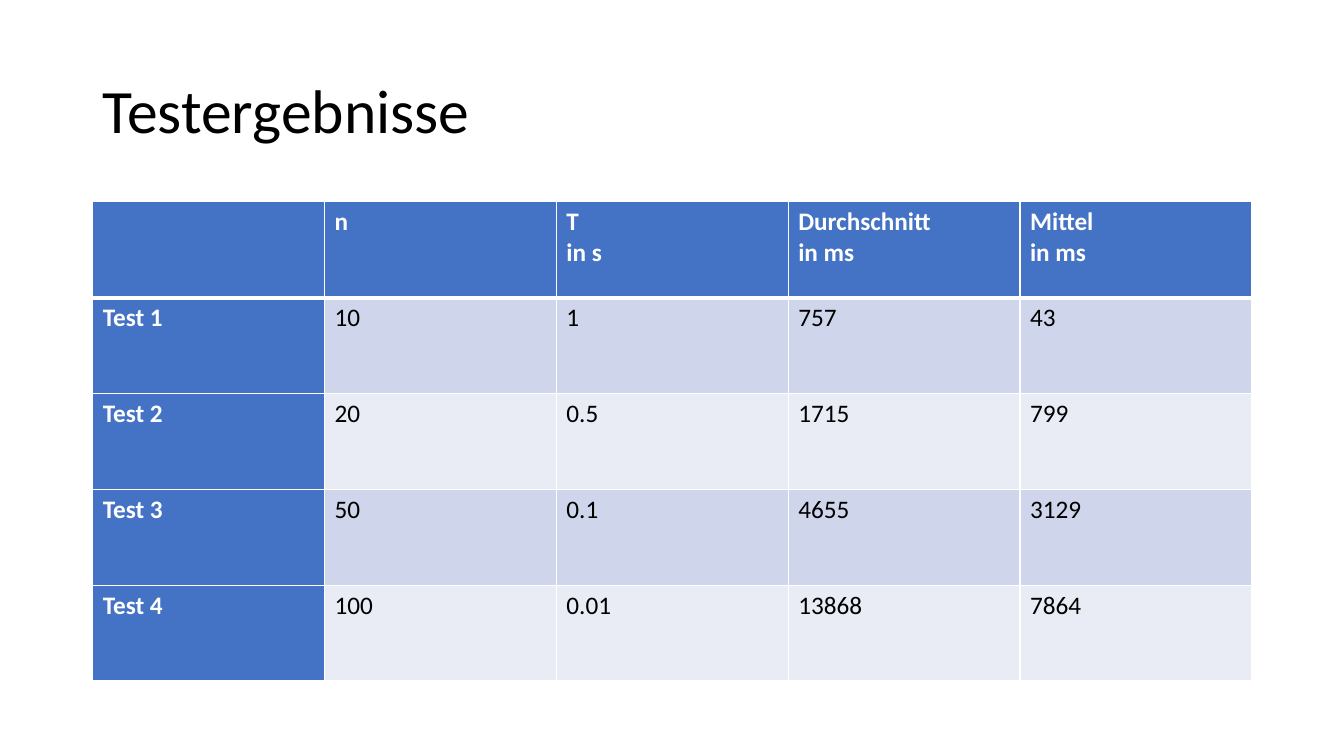
from dataclasses import dataclass

from lxml import etree
from pptx import Presentation, util as u
from pptx.dml.color import RGBColor
from pptx.enum import text
from pptx.oxml import ns

SLIDE_WIDTH, SLIDE_HEIGHT = u.Inches(13.33), u.Inches(7.5)
LEFT, WIDTH = 0.069, 0.8625  # shares of the slide width
TITLE_TOP, TITLE_HEIGHT = 0.053, 0.193  # shares of the slide height
TABLE_TOP, TABLE_HEIGHT = 0.267, 0.634
BLUE, WHITE, BLACK = "4472C4", "FFFFFF", "000000"
BANDS = ("CFD5EA", "E9EBF5")

RESULTS = (
    ("", "n", "T\nin s", "Durchschnitt\nin ms", "Mittel\nin ms"),
    ("Test 1", "10", "1", "757", "43"),
    ("Test 2", "20", "0.5", "1715", "799"),
    ("Test 3", "50", "0.1", "4655", "3129"),
    ("Test 4", "100", "0.01", "13868", "7864"),
)


@dataclass(frozen=True)
class CellStyle:
    fill: str
    color: str
    bold: bool
    top: int = 1
    bottom: int = 1


def rgb(value: str) -> RGBColor:
    return RGBColor.from_string(value)


def write(paragraph, words: str, size: int, color: str, bold: bool = False) -> None:
    paragraph.text = words
    formats = {"name": "Calibri", "size": u.Pt(size), "bold": bold}
    for run in paragraph.runs:
        for name, value in formats.items():
            setattr(run.font, name, value)
        run.font.color.rgb = rgb(color)


def add_borders(cell, style: CellStyle) -> None:
    properties = cell._tc.get_or_add_tcPr()
    widths = {"L": 1, "R": 1, "T": style.top, "B": style.bottom}
    for side, points in widths.items():
        line = etree.SubElement(properties, ns.qn(f"a:ln{side}"), w=str(u.Pt(points)))
        fill = etree.SubElement(line, ns.qn("a:solidFill"))
        etree.SubElement(fill, ns.qn("a:srgbClr"), val=WHITE)


def style_for(row: int, column: int) -> CellStyle:
    if row == 0:
        return CellStyle(BLUE, WHITE, True, bottom=3)
    top = 3 if row == 1 else 1
    if column == 0:
        return CellStyle(BLUE, WHITE, True, top)
    return CellStyle(BANDS[(row - 1) % 2], BLACK, False, top)


def add_title(slide, words: str) -> None:
    box = slide.shapes.add_textbox(
        int(SLIDE_WIDTH * LEFT), int(SLIDE_HEIGHT * TITLE_TOP),
        int(SLIDE_WIDTH * WIDTH), int(SLIDE_HEIGHT * TITLE_HEIGHT))
    frame = box.text_frame
    frame.word_wrap = True
    frame.vertical_anchor = text.MSO_ANCHOR.MIDDLE
    paragraph = frame.paragraphs[0]
    paragraph.line_spacing = 0.9
    write(paragraph, words, 44, BLACK)


def add_results(slide) -> None:
    table = slide.shapes.add_table(
        len(RESULTS), len(RESULTS[0]),
        int(SLIDE_WIDTH * LEFT), int(SLIDE_HEIGHT * TABLE_TOP),
        int(SLIDE_WIDTH * WIDTH), int(SLIDE_HEIGHT * TABLE_HEIGHT)).table
    table.first_col = True
    for row, values in enumerate(RESULTS):
        for column, words in enumerate(values):
            cell = table.cell(row, column)
            style = style_for(row, column)
            add_borders(cell, style)
            cell.fill.solid()
            cell.fill.fore_color.rgb = rgb(style.fill)
            write(cell.text_frame.paragraphs[0], words, 18, style.color, style.bold)


def main() -> None:
    presentation = Presentation()
    presentation.slide_width, presentation.slide_height = SLIDE_WIDTH, SLIDE_HEIGHT
    slide = presentation.slides.add_slide(presentation.slide_layouts[6])
    add_title(slide, "Testergebnisse")
    add_results(slide)
    presentation.save("out.pptx")


if __name__ == "__main__":
    main()
